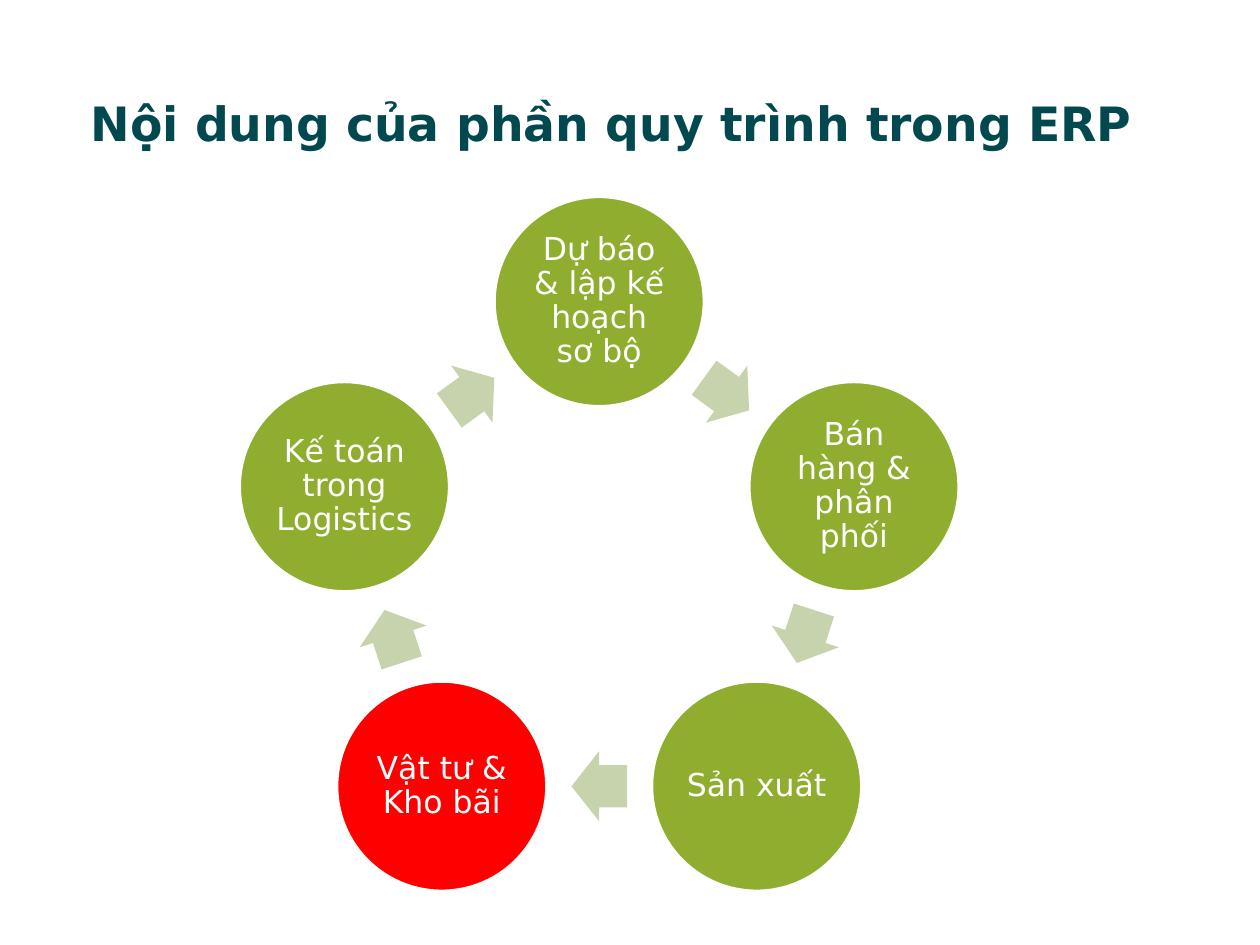
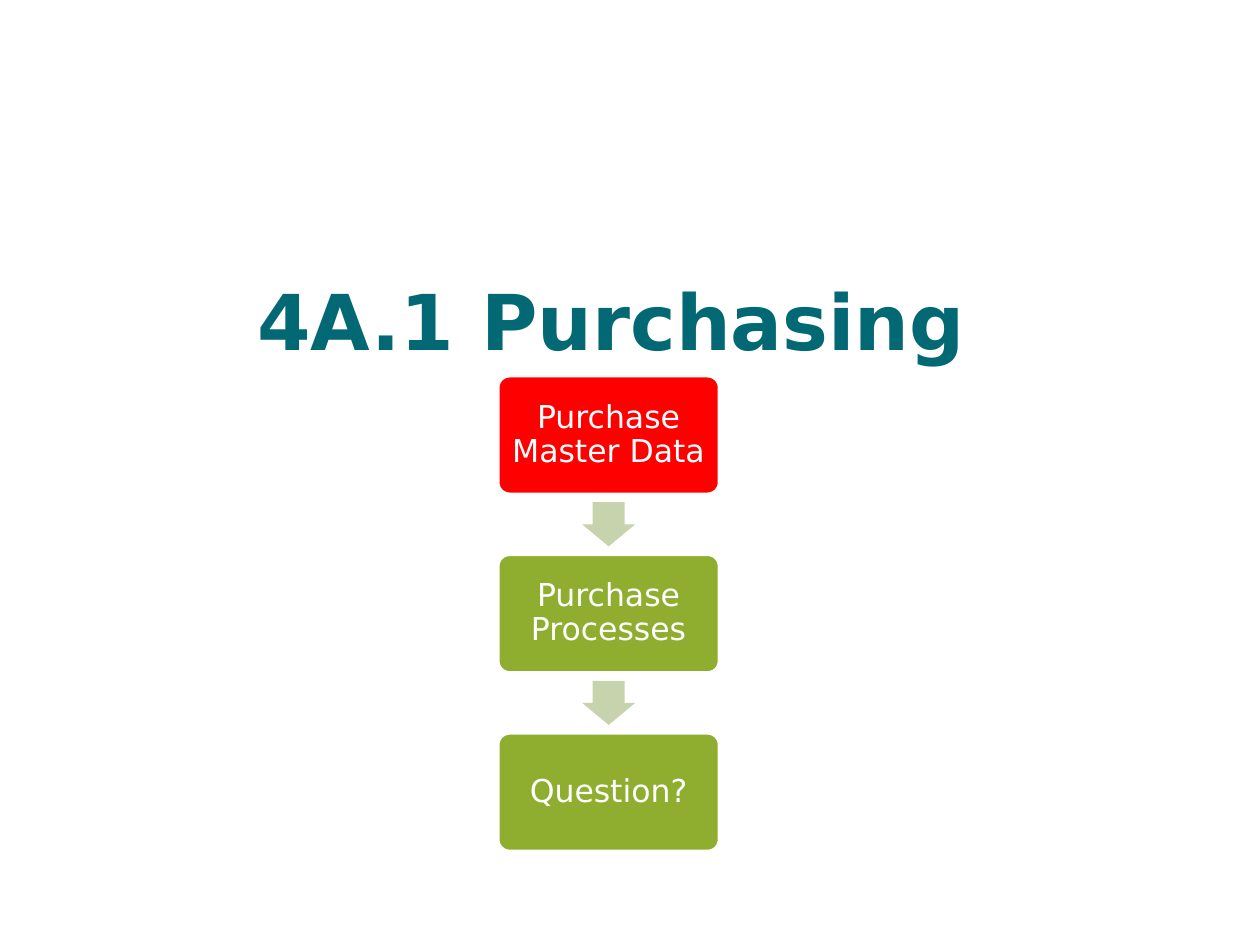
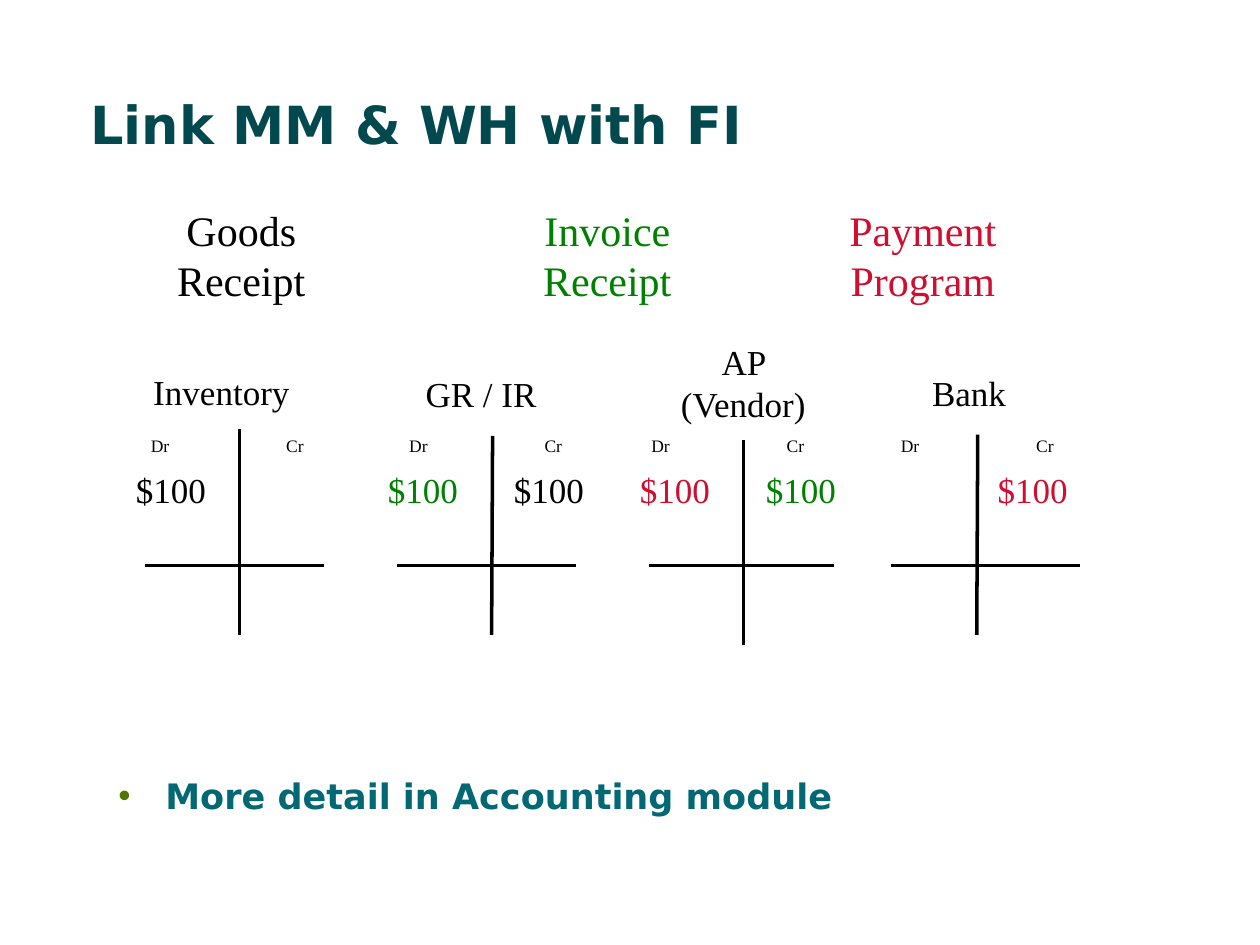
"""Builds three slides on purchasing and warehouse processes in ERP."""
import math

from lxml import etree
from pptx import Presentation
from pptx import util as u
from pptx.dml.color import RGBColor
from pptx.enum import shapes, text
from pptx.oxml.ns import qn

SANS, SERIF = "DejaVu Sans", "Times New Roman"
DARK, TEAL, LIME, SAGE = "01484F", "026974", "8FAD2F", "C6D3AD"
RED, WHITE, BLACK = "FF0000", "FFFFFF", "000000"
GREEN, CRIMSON, BULLET = "008000", "CF0E30", "507800"
LEFT, CENTER = text.PP_ALIGN.LEFT, text.PP_ALIGN.CENTER
SHAPE = shapes.MSO_SHAPE

CYCLE = [
    ("Dự báo & lập kế hoạch sơ bộ", LIME),
    ("Bán hàng & phân phối", LIME),
    ("Sản xuất", LIME),
    ("Vật tư & Kho bãi", RED),
    ("Kế toán trong Logistics", LIME),
]
STEPS = [("Purchase Master Data", RED), ("Purchase Processes", LIME), ("Question?", LIME)]
EVENTS = [
    ("Goods Receipt", 2.72, 4.29, BLACK, 0),
    ("Invoice Receipt", 9.07, 5.08, GREEN, 1.27),
    ("Payment Program", 16.46, 4.29, CRIMSON, 0),
]
ACCOUNTS = [
    dict(name="Inventory", box=(2.84, 7.34, 3.81), align=LEFT, bar=(2.92, 6.53),
         stem=(4.83, 8.64, 4.83, 12.8), label=2.79, amounts=[(2.49, BLACK)]),
    dict(name="GR / IR", box=(8.33, 7.39, 3.18), align=LEFT, bar=(8, 11.61),
         stem=(9.93, 8.79, 9.91, 12.8), label=8, amounts=[(7.57, GREEN), (10.11, BLACK)]),
    dict(name="AP (Vendor)", box=(13.08, 6.73, 3.81), align=CENTER, bar=(13.08, 16.81),
         stem=(14.99, 8.86, 14.99, 13), label=12.88, amounts=[(12.65, CRIMSON), (15.19, GREEN)]),
    dict(name="Bank", box=(18.54, 7.37, 3), align=LEFT, bar=(17.96, 21.77),
         stem=(19.71, 8.76, 19.69, 12.8), label=17.91, amounts=[(19.86, CRIMSON)]),
]


def rgb(value):
    """Turns a hex string into a colour."""
    return RGBColor.from_string(value)


def write(sp, words, size, color, font=SANS, bold=False, align=LEFT):
    """Writes one formatted run and returns its paragraph."""
    p = sp.text_frame.paragraphs[0]
    p.alignment = align
    r = p.add_run()
    r.text = words
    r.font.size, r.font.name, r.font.bold = u.Pt(size), font, bold
    r.font.color.rgb = rgb(color)
    return p


def place(sp, x, y, w, h):
    """Moves and sizes a placeholder."""
    sp.left, sp.top, sp.width, sp.height = map(u.Cm, (x, y, w, h))
    sp.text_frame.auto_size = text.MSO_AUTO_SIZE.NONE


def add_title(s, words, size):
    """Fills the slide title."""
    sp = s.shapes.title
    place(sp, 1.57, 1.63, 21.79, 1.7)
    sp.text_frame.vertical_anchor = text.MSO_ANCHOR.MIDDLE
    write(sp, words, size, DARK, bold=True)


def add_body(s, words, size, y, h, align=LEFT, bullet=None):
    """Fills the body placeholder with one hanging paragraph."""
    sp = s.placeholders[1]
    place(sp, 2.13, y, 20.4, h)
    pPr = write(sp, words, size, TEAL, bold=True, align=align)._p.get_or_add_pPr()
    pPr.set("marL", str(u.Cm(0.95)))
    pPr.set("indent", str(-u.Cm(0.95)))
    if bullet:
        color = etree.SubElement(pPr, qn("a:buClr"))
        etree.SubElement(color, qn("a:srgbClr"), val=BULLET)
        etree.SubElement(pPr, qn("a:buChar"), char=bullet)
    else:
        etree.SubElement(pPr, qn("a:buNone"))


def add_filled(s, kind, cx, cy, w, h, color, adjust=()):
    """Adds a flat shape around a centre point."""
    sp = s.shapes.add_shape(kind, u.Cm(cx - w / 2), u.Cm(cy - h / 2), u.Cm(w), u.Cm(h))
    sp.shadow.inherit = False
    sp.fill.solid()
    sp.fill.fore_color.rgb = rgb(color)
    for i, value in enumerate(adjust):
        sp.adjustments[i] = value
    return sp


def add_node(s, kind, cx, cy, w, h, node, inset, adjust=()):
    """Adds a labelled node with a white outline."""
    words, color = node
    sp = add_filled(s, kind, cx, cy, w, h, color, adjust)
    sp.line.color.rgb = rgb(WHITE)
    sp.line.width = u.Pt(2)
    tf = sp.text_frame
    tf.word_wrap = True
    tf.vertical_anchor = text.MSO_ANCHOR.MIDDLE
    tf.margin_left = tf.margin_right = tf.margin_top = tf.margin_bottom = u.Cm(inset)
    write(sp, words, 18, WHITE, align=CENTER).line_spacing = 0.9


def add_arrow(s, cx, cy, w, h, rotation):
    """Adds a block arrow between two nodes."""
    sp = add_filled(s, SHAPE.RIGHT_ARROW, cx, cy, w, h, SAGE, (0.6, 0.5))
    sp.line.fill.background()
    sp.rotation = rotation


def add_label(s, words, x, y, w, h, size, color=BLACK, align=LEFT):
    """Adds a serif text box and returns its paragraph."""
    sp = s.shapes.add_textbox(*map(u.Cm, (x, y, w, h)))
    sp.text_frame.word_wrap = True
    return write(sp, words, size, color, SERIF, align=align)


def add_line(s, *ends):
    """Adds a black straight line."""
    sp = s.shapes.add_connector(shapes.MSO_CONNECTOR.STRAIGHT, *map(u.Cm, ends))
    sp.line.color.rgb = rgb(BLACK)
    sp.line.width = u.Pt(2)
    etree.SubElement(sp._element.spPr, qn("a:effectLst"))


def add_account(s, account):
    """Draws one T-account."""
    x, y, w = account["box"]
    left, right = account["bar"]
    add_label(s, account["name"], x, y, w, 1.09, 20, align=account["align"])
    add_line(s, left, 11.4, right, 11.4)
    add_line(s, *account["stem"])
    pPr = add_label(s, "Dr\tCr", account["label"], 8.64, 4.06, 0.69, 10)._p.get_or_add_pPr()
    tabs = etree.SubElement(pPr, qn("a:tabLst"))
    etree.SubElement(tabs, qn("a:tab"), pos=str(u.Cm(2.73)), algn="l")
    for x, color in account["amounts"]:
        add_label(s, "$100", x, 9.32, 2.11, 1.09, 20, color)


def cycle_slide(prs):
    """Draws the process cycle."""
    s = prs.slides.add_slide(prs.slide_layouts[5])
    add_title(s, "Nội dung của phần quy trình trong ERP", 27)
    cx, cy, radius, size = 12.08, 11.48, 5.4, 4.24
    turn = 360 / len(CYCLE)
    for i, node in enumerate(CYCLE):
        a = math.radians(i * turn)
        add_node(s, SHAPE.OVAL, cx + radius * math.sin(a), cy - radius * math.cos(a),
                 size, size, node, 0.08)
        half = math.radians(turn / 2)
        reach = radius * math.cos(half)
        add_arrow(s, cx + reach * math.sin(a + half), cy - reach * math.cos(a + half),
                  1.12, 1.42, (i + 0.5) * turn)


def purchasing_slide(prs):
    """Draws the purchasing steps."""
    s = prs.slides.add_slide(prs.slide_layouts[1])
    title = s.shapes.title._element
    title.getparent().remove(title)
    add_body(s, "4A.1 Purchasing", 44, 5.38, 10.21, CENTER)
    cx, first, pitch = 12.27, 8.77, 3.6
    for i, node in enumerate(STEPS):
        cy = first + i * pitch
        if i:
            add_arrow(s, cx, cy - pitch / 2, 0.89, 1.07, 90)
        add_node(s, SHAPE.ROUNDED_RECTANGLE, cx, cy, 4.47, 2.39, node, 0.18, (0.1,))


def accounting_slide(prs):
    """Draws the postings on T-accounts."""
    s = prs.slides.add_slide(prs.slide_layouts[1])
    add_title(s, "Link MM & WH with FI", 30)
    add_body(s, "More detail in Accounting module", 20, 15.49, 2.72, bullet="•")
    for words, x, w, color, indent in EVENTS:
        pPr = add_label(s, words, x, 3.99, w, 2.29, 24, color, CENTER)._p.get_or_add_pPr()
        pPr.set("marL", str(u.Cm(indent)))
    for account in ACCOUNTS:
        add_account(s, account)


def main():
    """Builds and saves the presentation."""
    prs = Presentation()
    prs.slide_width, prs.slide_height = u.Cm(25.4), u.Cm(19.05)
    cycle_slide(prs)
    purchasing_slide(prs)
    accounting_slide(prs)
    prs.save("out.pptx")


if __name__ == "__main__":
    main()
